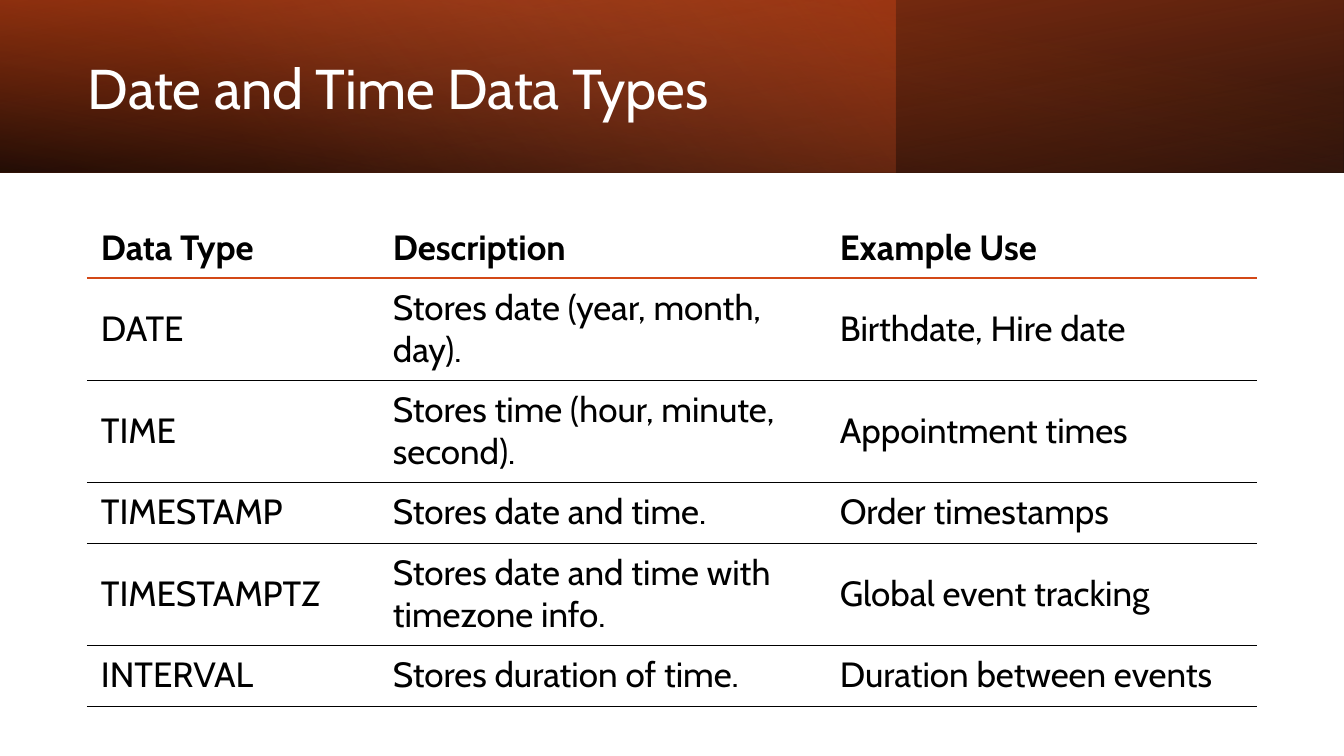
from lxml.etree import SubElement
from pptx import Presentation
from pptx.dml.color import RGBColor
from pptx.enum.shapes import MSO_SHAPE
from pptx.enum.text import MSO_ANCHOR
from pptx.oxml.ns import qn
from pptx.util import Emu, Pt

BLACK = RGBColor(0x00, 0x00, 0x00)
WHITE = RGBColor(0xFF, 0xFF, 0xFF)
RUST = RGBColor(0x9E, 0x36, 0x11)
ORANGE = RGBColor(0xD3, 0x48, 0x17)
PEACH = RGBColor(0xEF, 0x8C, 0x6A)
FONT = "Cabin"


def px(n):
    return Emu(round(n * 914400 / 100.8))


def border(cell, side, color, width):
    line = SubElement(cell._tc.get_or_add_tcPr(), qn("a:" + side), w=str(Pt(width)))
    fill = SubElement(line, qn("a:solidFill"))
    SubElement(fill, qn("a:srgbClr"), val=str(color))


deck = Presentation()
deck.slide_width, deck.slide_height = px(1344), px(756)
slide = deck.slides.add_slide(deck.slide_layouts[6])

# Header band: width, rotation, flip, clockwise angle, stops (place %, color, opacity %)
bands = [
    (1344, 180, True, 100, [(0, BLACK, 96), (100, RUST, 100)]),
    (896, 0, False, 140, [(0, ORANGE, 41), (74, PEACH, 0)]),
    (1344, 0, True, 260, [(0, BLACK, 63), (78, ORANGE, 15)]),
]
for width, turn, flip, angle, stops in bands:
    band = slide.shapes.add_shape(MSO_SHAPE.RECTANGLE, 0, 0, px(width), px(173))
    band.shadow.inherit = False
    band.line.fill.background()
    band.rotation = turn
    if flip:
        band._element.spPr.find(qn("a:xfrm")).set("flipH", "1")
    band.fill.gradient()
    band.fill.gradient_angle = 360 - angle
    for stop, (place, color, _) in zip(band.fill.gradient_stops, stops):
        stop.position = place / 100
        stop.color.rgb = color
    tints = band._element.spPr.findall(".//" + qn("a:srgbClr"))
    for tint, (_, _, alpha) in zip(tints, stops):
        SubElement(tint, qn("a:alpha"), val=str(alpha * 1000))

# Title
frame = slide.shapes.add_textbox(px(78), px(27), px(778), px(128)).text_frame
frame.word_wrap = True
frame.vertical_anchor = MSO_ANCHOR.MIDDLE
title = frame.paragraphs[0]
title.text = "Date and Time Data Types"
title.line_spacing = 0.9
title.font.name, title.font.size = FONT, Pt(40)
title.font.color.rgb = WHITE

# Table of types
rows = [
    ("Data Type", "Description", "Example Use"),
    ("DATE", "Stores date (year, month, day).", "Birthdate, Hire date"),
    ("TIME", "Stores time (hour, minute, second).", "Appointment times"),
    ("TIMESTAMP", "Stores date and time.", "Order timestamps"),
    ("TIMESTAMPTZ", "Stores date and time with timezone info.", "Global event tracking"),
    ("INTERVAL", "Stores duration of time.", "Duration between events"),
]
widths = [292, 447, 431]
heights = [61, 102, 102, 61, 102, 61]
table = slide.shapes.add_table(
    len(rows), len(widths), px(87), px(217), px(sum(widths)), px(sum(heights))
).table
table.horz_banding = table.first_row = False
# Table style without fills or grid
table._tbl.tblPr.find(qn("a:tableStyleId")).text = "{2D5ABB26-0587-4C30-8999-92F81FD0307C}"
for col, width in zip(table.columns, widths):
    col.width = px(width)

for r, (row, height) in enumerate(zip(rows, heights)):
    table.rows[r].height = px(height)
    for c, text in enumerate(row):
        cell = table.cell(r, c)
        cell.vertical_anchor = MSO_ANCHOR.MIDDLE
        cell.margin_left = cell.margin_right = px(14)
        cell.margin_top = cell.margin_bottom = px(7)
        para = cell.text_frame.paragraphs[0]
        para.text = text
        para.font.name, para.font.size = FONT, Pt(25)
        para.font.bold = r == 0
        para.font.color.rgb = BLACK
        # Rules: orange under the header, thin black elsewhere
        if r > 0:
            border(cell, "lnT", *((ORANGE, 1.5) if r == 1 else (BLACK, 0.25)))
        border(cell, "lnB", *((ORANGE, 1.5) if r == 0 else (BLACK, 0.25)))
        cell.fill.background()

deck.save("out.pptx")
